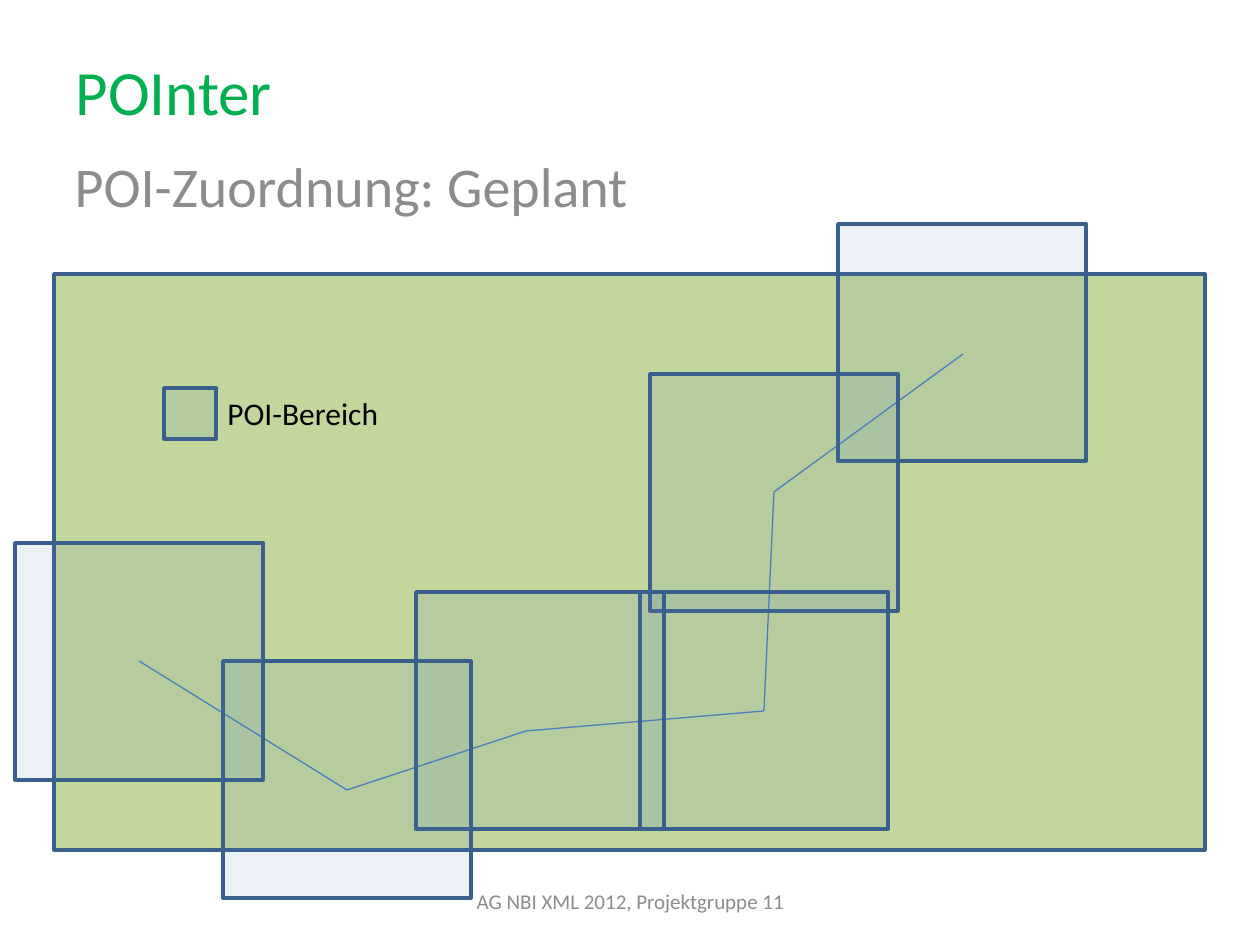
from itertools import pairwise
from typing import NamedTuple

from lxml.etree import SubElement
from pptx import Presentation
from pptx.dml.color import RGBColor
from pptx.enum.shapes import MSO_CONNECTOR, MSO_SHAPE
from pptx.enum.text import MSO_ANCHOR as Anchor, PP_ALIGN as Align
from pptx.oxml.ns import qn
from pptx.util import Emu, Pt

EMU_PER_PX = 914400 // 126
GREEN, GREY, BLACK = "00B050", "8C8C8C", "000000"
MAP_FILL, AREA_FILL = "C3D69B", "4F81BD"
BORDER, ROUTE = "3A5F8C", "4B7EBC"


class Box(NamedTuple):
    """A rectangle in pixels."""
    left: int
    top: int
    width: int
    height: int


class Stop(NamedTuple):
    """A route point and the corner of its POI area, in pixels."""
    x: int
    y: int
    area_left: int
    area_top: int


AREA_WIDTH, AREA_HEIGHT = 248, 237
STOPS = [
    Stop(963, 354, 838, 224),
    Stop(774, 492, 650, 374),
    Stop(764, 711, 640, 592),
    Stop(526, 731, 416, 592),
    Stop(347, 790, 223, 661),
    Stop(139, 661, 15, 543),
]


def px(length: int) -> Emu:
    """Turn pixels into EMU."""
    return Emu(length * EMU_PER_PX)


def paint(color_format, color: str) -> None:
    """Set a colour from a hex string."""
    color_format.rgb = RGBColor.from_string(color)


def write(holder, text: str, *, size: int, color: str,
          align: Align = Align.LEFT, anchor: Anchor = Anchor.TOP) -> None:
    """Fill a shape with one formatted line of text."""
    frame = holder.text_frame
    frame.word_wrap = True
    frame.vertical_anchor = anchor
    paragraph = frame.paragraphs[0]
    paragraph.alignment = align
    run = paragraph.add_run()
    run.text = text
    run.font.name = "Calibri"
    run.font.size = Pt(size)
    paint(run.font.color, color)


def place(holder, box: Box) -> None:
    """Move and size a placeholder."""
    holder.left, holder.top, holder.width, holder.height = map(px, box)


def add_label(slide, box: Box, text: str, **text_format) -> None:
    """Add a text box with formatted text."""
    write(slide.shapes.add_textbox(*map(px, box)), text, **text_format)


def add_area(slide, box: Box, color: str, opacity: int = 100) -> None:
    """Add a bordered rectangle, with its opacity in percent."""
    area = slide.shapes.add_shape(MSO_SHAPE.RECTANGLE, *map(px, box))
    area.shadow.inherit = False
    area.fill.solid()
    paint(area.fill.fore_color, color)
    if opacity < 100:
        hue = area.fill._xPr.find(qn("a:solidFill"))[0]
        SubElement(hue, qn("a:alpha"), val=str(opacity * 1000))
    paint(area.line.color, BORDER)
    area.line.width = Pt(2)


def add_leg(slide, start: Stop, end: Stop) -> None:
    """Join two route points with a thin line."""
    leg = slide.shapes.add_connector(
        MSO_CONNECTOR.STRAIGHT, px(start.x), px(start.y), px(end.x), px(end.y))
    paint(leg.line.color, ROUTE)
    leg.line.width = Pt(0.75)
    SubElement(leg._element.spPr, qn("a:effectLst"))


def build() -> None:
    """Build the slide and save it."""
    deck = Presentation()
    deck.slide_width, deck.slide_height = px(1260), px(945)
    slide = deck.slides.add_slide(deck.slide_layouts[0])

    title, subtitle = slide.placeholders
    place(title, Box(63, 45, 1091, 90))
    write(title, "POInter", size=36, color=GREEN, anchor=Anchor.MIDDLE)
    place(subtitle, Box(62, 145, 1138, 90))
    write(subtitle, "POI-Zuordnung: Geplant", size=32, color=GREY)
    add_label(slide, Box(431, 876, 399, 50), "AG NBI XML 2012, Projektgruppe 11",
              size=12, color=GREY, align=Align.CENTER, anchor=Anchor.MIDDLE)

    add_area(slide, Box(54, 274, 1151, 576), MAP_FILL)
    for start, end in pairwise(STOPS):
        add_leg(slide, start, end)

    add_label(slide, Box(215, 388, 387, 50), "POI-Bereich", size=18, color=BLACK)
    add_area(slide, Box(164, 388, 52, 51), AREA_FILL, opacity=12)
    for stop in STOPS:
        add_area(slide, Box(stop.area_left, stop.area_top, AREA_WIDTH, AREA_HEIGHT),
                 AREA_FILL, opacity=11)

    deck.save("out.pptx")


build()
